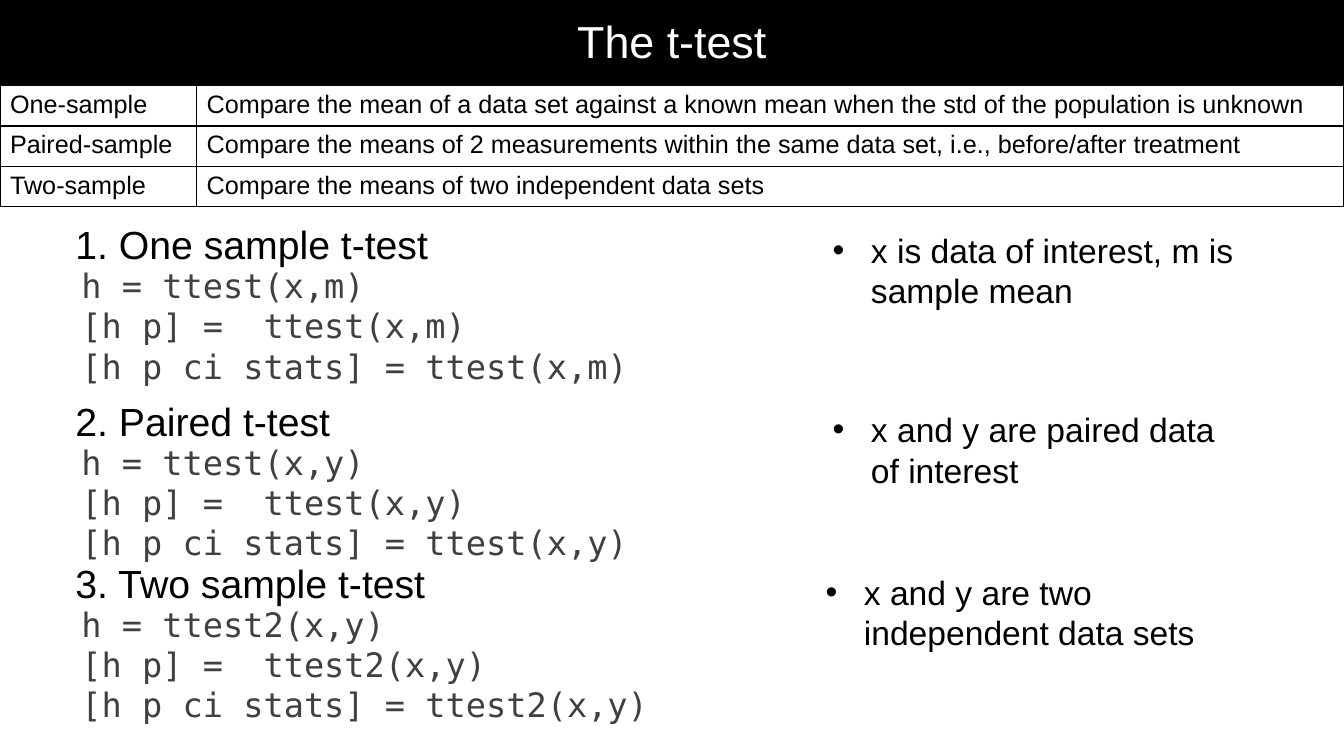
"""Build the slide on the three kinds of t-test."""
from lxml.etree import SubElement
from pptx import Presentation
from pptx.dml.color import RGBColor as RGB
from pptx.enum.shapes import MSO_SHAPE as SHAPE
from pptx.enum.text import MSO_ANCHOR as ANCHOR, MSO_AUTO_SIZE as AUTO, PP_ALIGN as ALIGN
from pptx.oxml.ns import qn
from pptx.util import Inches, Pt

COLORS = {"black": "000000", "white": "FFFFFF", "code": "404040"}
WIDTH, HEIGHT = 13.33, 7.5
SANS, MONO = "Arial", "DejaVu Sans Mono"


def style(p, size, color="black", name=SANS):
    p.font.size, p.font.name = Pt(size), name
    p.font.color.rgb = RGB.from_string(COLORS[color])


def add_text(box, lines, size, color="black", name=SANS, wrap=False):
    tf = s.shapes.add_textbox(*map(Inches, box)).text_frame
    tf.word_wrap, tf.auto_size = wrap, AUTO.SHAPE_TO_FIT_TEXT
    tf.text = "\n".join(lines)
    for p in tf.paragraphs:
        style(p, size, color, name)
    return tf


prs = Presentation()
prs.slide_width, prs.slide_height = Inches(WIDTH), Inches(HEIGHT)
s = prs.slides.add_slide(prs.slide_layouts[6])

title = s.shapes.add_shape(SHAPE.RECTANGLE, 0, 0, prs.slide_width, Inches(0.88))
title.shadow.inherit = False
title.fill.solid()
title.fill.fore_color.rgb = RGB.from_string(COLORS["black"])
title.line.fill.background()
tf = title.text_frame
tf.text, tf.vertical_anchor = "The t-test", ANCHOR.MIDDLE
p = tf.paragraphs[0]
p.alignment, p.line_spacing = ALIGN.CENTER, 0.9
style(p, 32, "white")

sections = [
    (2.14, "1. One sample t-test", 3.74, "ttest(x,m)", 5.65,
     "x is data of interest, m is sample mean", (8.16, 2.23, 4.62)),
    (3.89, "2. Paired t-test", 2.76, "ttest(x,y)", 5.65,
     "x and y are paired data of interest", (8.16, 4.01, 4.09)),
    (5.5, "3. Two sample t-test", 3.71, "ttest2(x,y)", 5.85,
     "x and y are two independent data sets", (8.09, 5.62, 4.61)),
]
for top, heading, heading_w, call, code_w, note, note_box in sections:
    code = [f"{left}{call}" for left in ("h = ", "[h p] =  ", "[h p ci stats] = ")]
    add_text((0.71, top + 0.44, code_w, 1.31), code, 24, "code", MONO)
    add_text((0.65, top, heading_w, 0.57), [heading], 28)
    tf = add_text((*note_box, 0.91), [note], 24, wrap=True)
    pPr = tf.paragraphs[0]._p.get_or_add_pPr()
    pPr.set("marL", str(Inches(0.38)))
    pPr.set("indent", str(-Inches(0.38)))
    bullet_font = pPr.makeelement(qn("a:buFont"), {"typeface": SANS})
    bullet = pPr.makeelement(qn("a:buChar"), {"char": "•"})
    pPr.insert(0, bullet_font)
    pPr.insert(1, bullet)

rows = [
    ("One-sample", "Compare the mean of a data set against a known mean "
                   "when the std of the population is unknown"),
    ("Paired-sample", "Compare the means of 2 measurements within the same data set, "
                      "i.e., before/after treatment"),
    ("Two-sample", "Compare the means of two independent data sets"),
]
row_h, name_w = 0.4, 1.95
table = s.shapes.add_table(len(rows), 2, 0, Inches(0.85), prs.slide_width,
                           Inches(row_h * len(rows))).table
table.first_row = table.horz_banding = False
table.columns[0].width = Inches(name_w)
table.columns[1].width = Inches(WIDTH - name_w)
for i, row in enumerate(rows):
    table.rows[i].height = Inches(row_h)
    for j, text in enumerate(row):
        cell = table.cell(i, j)
        cell.text = text
        style(cell.text_frame.paragraphs[0], 18)
        tcPr = cell._tc.get_or_add_tcPr()
        for side in ("lnL", "lnR", "lnT", "lnB"):
            ln = SubElement(tcPr, qn(f"a:{side}"), w=str(Pt(1)))
            fill = SubElement(ln, qn("a:solidFill"))
            SubElement(fill, qn("a:srgbClr"), val=COLORS["black"])
        cell.fill.solid()
        cell.fill.fore_color.rgb = RGB.from_string(COLORS["white"])

prs.save("out.pptx")
